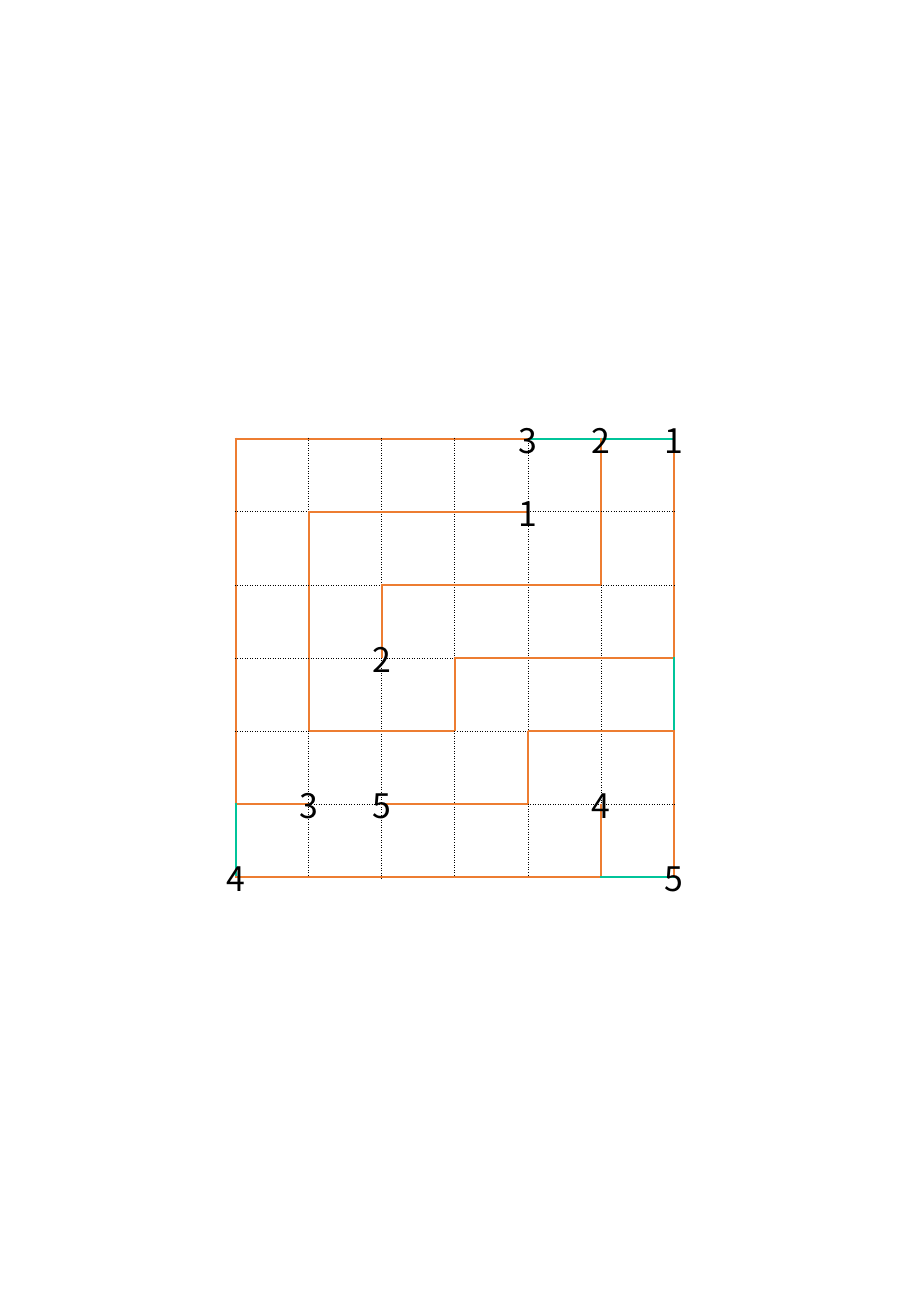
from dataclasses import dataclass

from lxml import etree
from pptx import Presentation
from pptx.dml.color import RGBColor
from pptx.enum.text import MSO_ANCHOR, PP_ALIGN
from pptx.oxml.ns import qn
from pptx.util import Inches, Pt

CENTER = PP_ALIGN.CENTER
MIDDLE = MSO_ANCHOR.MIDDLE


@dataclass(frozen=True)
class Theme:
    font: str = "Noto Sans CJK JP"
    clue_size: int = 20
    clue_color: str = "000000"
    guide: tuple = ("000000", 0.5, "sysDot")
    wall: tuple = ("ED7D31", 1.5, "solid")
    gate: tuple = ("00C49A", 1.5, "solid")


# Edges of the 6 by 6 maze: O is a wall, G a gate, . a dotted guide.
HORIZONTAL_EDGES = ["OOOOGG", ".OOO..", "..OOO.", "...OOO", ".OO.OO", "O.OO..", "OOOOOG"]
VERTICAL_EDGES = ["O....OO", "OO...OO", "OOO...O", "OO.O..G", "O...O.O", "G....OO"]
# Clue numbers sit on the crossings of the maze lines.
CLUES = ["    321", "    1  ", "       ", "  2    ", "       ", " 35  4 ", "4     5"]

MAZE_LEFT, MAZE_TOP = Inches(1.34), Inches(3.01)
MAZE_CELLS = 8
PITCH = Inches(4.81) // MAZE_CELLS


def edge_at(edges, row, col):
    """Return the edge mark, or None outside the maze."""
    if 0 <= row < len(edges) and 0 <= col < len(edges[row]):
        return edges[row][col]
    return None


class PuzzleSlide:
    def __init__(self, slide, theme):
        self.slide = slide
        self.theme = theme
        self.strokes = {"O": theme.wall, "G": theme.gate, ".": theme.guide}

    def square_table(self, left, top, count):
        """Add a plain table of square cells without fills or margins."""
        size = PITCH * count
        table = self.slide.shapes.add_table(count, count, left, top, size, size).table
        table.first_row = False
        table.horz_banding = False
        for cell in table.iter_cells():
            cell.fill.background()
            cell.margin_left = cell.margin_right = 0
            cell.margin_top = cell.margin_bottom = 0
            cell.vertical_anchor = MIDDLE
        return table

    def borders(self, cell, marks):
        """Set left, right, top and bottom borders ahead of the cell's fill."""
        properties = cell._tc.get_or_add_tcPr()
        for index, (side, mark) in enumerate(zip("LRTB", marks)):
            line = etree.Element(qn(f"a:ln{side}"))
            if mark is None:
                etree.SubElement(line, qn("a:noFill"))
            else:
                color, width, dash = self.strokes[mark]
                line.set("w", str(Pt(width)))
                fill = etree.SubElement(line, qn("a:solidFill"))
                etree.SubElement(fill, qn("a:srgbClr"), val=color)
                etree.SubElement(line, qn("a:prstDash"), val=dash)
            properties.insert(index, line)

    def maze(self, left, top):
        table = self.square_table(left, top, MAZE_CELLS)
        for row in range(MAZE_CELLS):
            for col in range(MAZE_CELLS):
                marks = (
                    edge_at(VERTICAL_EDGES, row - 1, col - 1),
                    edge_at(VERTICAL_EDGES, row - 1, col),
                    edge_at(HORIZONTAL_EDGES, row - 1, col - 1),
                    edge_at(HORIZONTAL_EDGES, row, col - 1),
                )
                self.borders(table.cell(row, col), marks)

    def clues(self, left, top):
        table = self.square_table(left, top, len(CLUES))
        for cell, clue in zip(table.iter_cells(), "".join(CLUES)):
            self.borders(cell, [None] * 4)
            if clue != " ":
                self.clue(cell, clue)

    def clue(self, cell, number):
        paragraph = cell.text_frame.paragraphs[0]
        paragraph.alignment = CENTER
        run = paragraph.add_run()
        run.text = number
        run.font.name = self.theme.font
        run.font.size = Pt(self.theme.clue_size)
        run.font.color.rgb = RGBColor.from_string(self.theme.clue_color)


def main():
    presentation = Presentation()
    presentation.slide_width = Inches(7.5)
    presentation.slide_height = Inches(10.83)
    slide = presentation.slides.add_slide(presentation.slide_layouts[6])
    puzzle = PuzzleSlide(slide, Theme())
    puzzle.maze(MAZE_LEFT, MAZE_TOP)
    puzzle.clues(MAZE_LEFT + PITCH // 2, MAZE_TOP + PITCH // 2)
    presentation.save("out.pptx")


if __name__ == "__main__":
    main()
